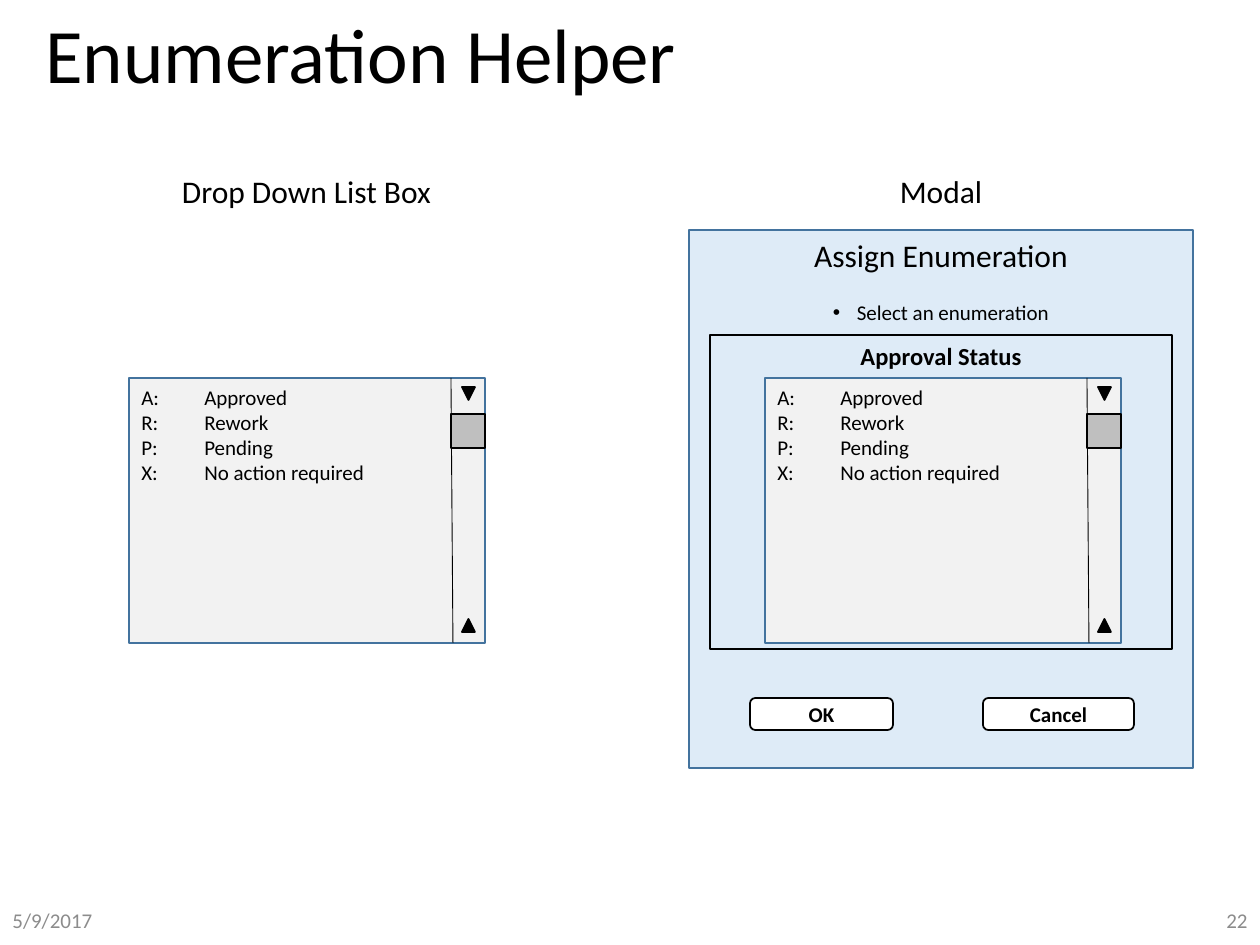
import pptx
import pptx.util
import pptx.dml.color
import pptx.enum.shapes
import pptx.enum.text
import pptx.oxml.ns
import lxml.etree

PIXEL = 914400 // 126
SHAPES = pptx.enum.shapes.MSO_SHAPE
ALIGN = pptx.enum.text.PP_ALIGN
ANCHOR = pptx.enum.text.MSO_ANCHOR
BORDER_BLUE = "43739E"
STATUSES = ["A:\tApproved", "R:\tRework", "P:\tPending", "X:\tNo action required"]

presentation = pptx.Presentation()
presentation.slide_width = 1260 * PIXEL
presentation.slide_height = 945 * PIXEL
slide = presentation.slides.add_slide(presentation.slide_layouts[6])


def color(value):
    """Turn a hex string into a colour."""
    return pptx.dml.color.RGBColor.from_string(value)


def add_box(box, kind=None, fill=None, line="000000", rotation=0):
    """Add a preset shape, or a text box when no kind is given."""
    box = [length * PIXEL for length in box]
    if kind is None:
        return slide.shapes.add_textbox(*box)
    shape = slide.shapes.add_shape(kind, *box)
    shape.shadow.inherit = False
    shape.rotation = rotation
    if fill:
        shape.fill.solid()
        shape.fill.fore_color.rgb = color(fill)
    else:
        shape.fill.background()
    shape.line.color.rgb = color(line)
    shape.line.width = pptx.util.Pt(1)
    return shape


def write(shape, lines, size=12, ink="000000", bold=False, align=ALIGN.LEFT,
          anchor=ANCHOR.TOP, wrap=True, spacing=None):
    """Write one paragraph per line and return the paragraphs."""
    frame = shape.text_frame
    frame.word_wrap = wrap
    frame.vertical_anchor = anchor
    for index, line in enumerate(lines):
        paragraph = frame.add_paragraph() if index else frame.paragraphs[0]
        paragraph.alignment = align
        paragraph.line_spacing = spacing
        run = paragraph.add_run()
        run.text = line
        run.font.name = "Calibri"
        run.font.size = pptx.util.Pt(size)
        run.font.bold = bold
        run.font.color.rgb = color(ink)
    return frame.paragraphs


# Title, date and slide number
write(add_box((33, 11, 1197, 96)), ["Enumeration Helper"], size=44,
      anchor=ANCHOR.MIDDLE, spacing=0.9)
for left, label, align in [(0, "5/9/2017", ALIGN.LEFT), (976, "22", ALIGN.RIGHT)]:
    write(add_box((left, 895, 284, 50)), [label], ink="8C8C8C",
          align=align, anchor=ANCHOR.MIDDLE)

# Modal window with its heading and bulleted hint
modal = add_box((689, 230, 504, 538), SHAPES.RECTANGLE, "DEEBF7", BORDER_BLUE)
heading, hint = write(modal, ["Assign Enumeration", "Select an enumeration"],
                      align=ALIGN.CENTER)
heading.runs[0].font.size = pptx.util.Pt(18)
hint.space_before = pptx.util.Pt(14.6)
hint_properties = hint._p.get_or_add_pPr()
hint_properties.set("marL", str(24 * PIXEL))
hint_properties.set("indent", str(-24 * PIXEL))
for tag, key, value in [("a:buFont", "typeface", "Arial"), ("a:buChar", "char", "•")]:
    bullet = lxml.etree.SubElement(hint_properties, pptx.oxml.ns.qn(tag))
    bullet.set(key, value)

for left, width, label in [(750, 143, "OK"), (983, 151, "Cancel")]:
    button = add_box((left, 698, width, 32), SHAPES.ROUNDED_RECTANGLE, "FFFFFF")
    write(button, [label], bold=True, align=ALIGN.CENTER, anchor=ANCHOR.MIDDLE)

group_frame = add_box((710, 335, 462, 314), SHAPES.RECTANGLE)
write(group_frame, ["Approval Status"], size=14, bold=True, align=ALIGN.CENTER)

# The same scrolling list, in the modal and on its own
for left in (765, 129):
    status_list = add_box((left, 378, 356, 265), SHAPES.RECTANGLE, "F2F2F2", BORDER_BLUE)
    for paragraph in write(status_list, STATUSES):
        tab_list = lxml.etree.SubElement(paragraph._p.get_or_add_pPr(),
                                         pptx.oxml.ns.qn("a:tabLst"))
        tab = lxml.etree.SubElement(tab_list, pptx.oxml.ns.qn("a:tab"))
        tab.set("pos", str(63 * PIXEL))
        tab.set("algn", "l")

    divider = slide.shapes.add_connector(
        pptx.enum.shapes.MSO_CONNECTOR.STRAIGHT,
        (left + 322) * PIXEL, 378 * PIXEL, (left + 324) * PIXEL, 643 * PIXEL)
    divider.line.color.rgb = color("000000")
    divider.line.width = pptx.util.Pt(0.5)
    lxml.etree.SubElement(divider._element.spPr, pptx.oxml.ns.qn("a:effectLst"))

    for top, rotation in [(619, 0), (387, 180)]:
        add_box((left + 333, top, 13, 13), SHAPES.ISOSCELES_TRIANGLE, "000000",
                rotation=rotation)
    add_box((left + 322, 414, 34, 34), SHAPES.FLOWCHART_PROCESS, "BFBFBF")

# Column captions
for left, width, label in [(887, 108, "Modal"), (168, 277, "Drop Down List Box")]:
    write(add_box((left, 166, width, 50)), [label], size=18,
          align=ALIGN.CENTER, wrap=False)

presentation.save("out.pptx")
